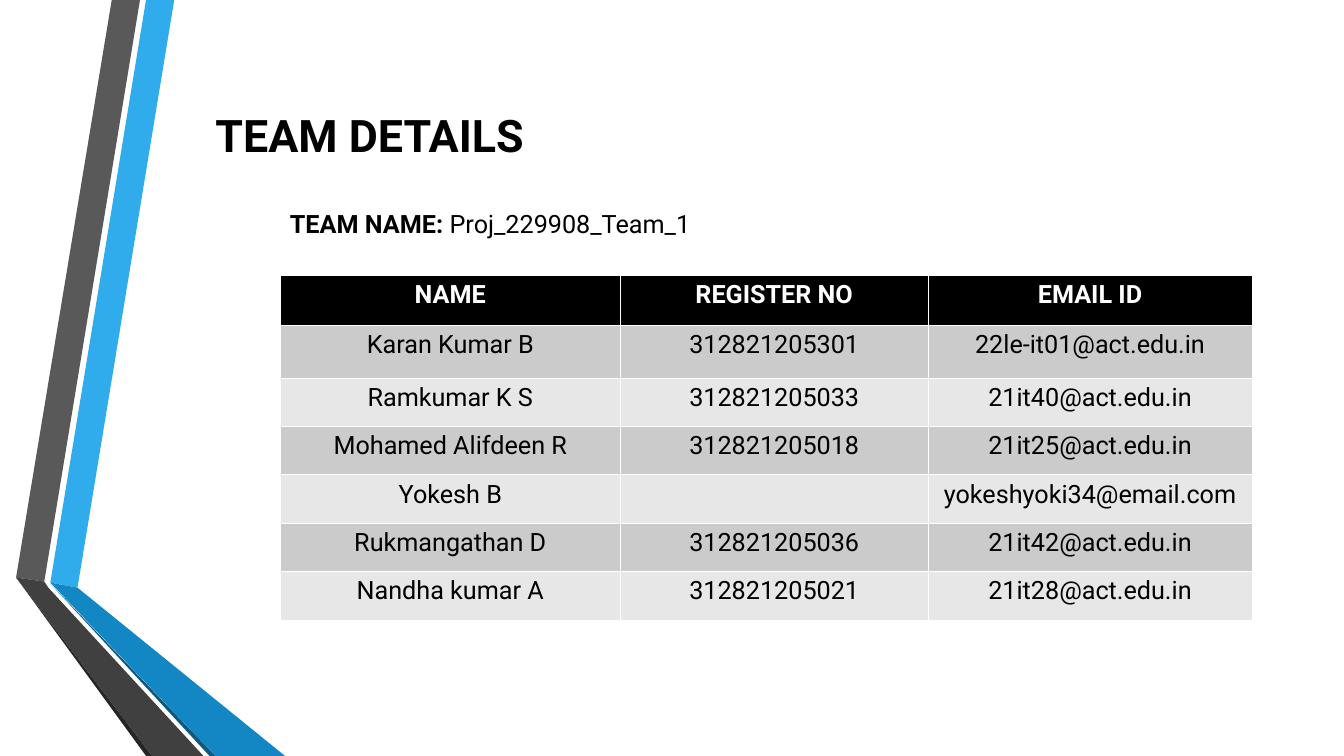
"""Build the team details slide with its ribbon and member table."""
import dataclasses

import lxml.etree
import pptx
import pptx.dml.color
import pptx.enum.text
import pptx.oxml.ns
import pptx.util

Inches = pptx.util.Inches
Pt = pptx.util.Pt
RGB = pptx.dml.color.RGBColor.from_string
CENTER = pptx.enum.text.PP_ALIGN.CENTER
MIDDLE = pptx.enum.text.MSO_ANCHOR.MIDDLE


@dataclasses.dataclass(frozen=True)
class Theme:
    font: str = "Roboto"
    title_size: int = 32
    body_size: int = 18
    ink: str = "000000"
    paper: str = "FFFFFF"
    bands: tuple = ("CBCBCB", "E7E7E7")
    sky: str = "30ACEC"
    blue: str = "1287C3"
    navy: str = "0C5A82"
    grey: str = "595959"
    charcoal: str = "404040"
    soot: str = "262626"
    thin_rule: float = 0.45
    header_rule: float = 1.47


THEME = Theme()

RIBBON = [
    (THEME.sky, [(0.5, 5.78), (0.77, 5.83), (1.73, 0), (1.45, 0)]),
    (THEME.grey, [(1.39, 0), (1.11, 0), (0.16, 5.73), (0.44, 5.77)]),
    (THEME.soot, [(0.16, 5.73), (1.45, 7.5), (1.51, 7.5)]),
    (THEME.navy, [(0.5, 5.79), (2.08, 7.5), (2.14, 7.5)]),
    (THEME.blue, [(0.5, 5.78), (2.14, 7.5), (2.83, 7.5), (0.77, 5.83)]),
    (THEME.charcoal, [(0.16, 5.73), (1.51, 7.5), (2.02, 7.5), (0.48, 5.83), (0.44, 5.77)]),
]

MEMBERS = [
    ("NAME", "REGISTER NO", "EMAIL ID"),
    ("Karan Kumar B", "312821205301", "22le-it01@act.edu.in"),
    ("Ramkumar K S", "312821205033", "21it40@act.edu.in"),
    ("Mohamed Alifdeen R", "312821205018", "21it25@act.edu.in"),
    ("Yokesh B", "", "yokeshyoki34@email.com"),
    ("Rukmangathan D", "312821205036", "21it42@act.edu.in"),
    ("Nandha kumar A", "312821205021", "21it28@act.edu.in"),
]
COLUMN_WIDTHS = (3.38, 3.05, 3.22)
ROW_HEIGHTS = (0.5, 0.52) + (0.48,) * 5


def style_font(font, size, color=THEME.ink, bold=False):
    for name, value in {"name": THEME.font, "size": Pt(size), "bold": bold}.items():
        setattr(font, name, value)
    font.color.rgb = RGB(color)


def add_ribbon_piece(slide, color, points):
    corners = [(Inches(x), Inches(y)) for x, y in points]
    builder = slide.shapes.build_freeform(*corners[0])
    builder.add_line_segments(corners[1:], close=True)
    piece = builder.convert_to_shape()
    piece.shadow.inherit = False
    piece.fill.solid()
    piece.fill.fore_color.rgb = RGB(color)
    piece.line.fill.background()


def add_text(slide, box, runs, size, **layout):
    frame = slide.shapes.add_textbox(*map(Inches, box)).text_frame
    frame.word_wrap = True
    frame.vertical_anchor = layout.get("anchor")
    paragraph = frame.paragraphs[0]
    paragraph.alignment = layout.get("align")
    for text, bold in runs:
        run = paragraph.add_run()
        run.text = text
        style_font(run.font, size, bold=bold)


def set_borders(cell, widths):
    properties = cell._tc.get_or_add_tcPr()
    qn = pptx.oxml.ns.qn
    for side, width in widths.items():
        rule = lxml.etree.SubElement(properties, qn(f"a:ln{side}"), w=str(Pt(width)))
        fill = lxml.etree.SubElement(rule, qn("a:solidFill"))
        lxml.etree.SubElement(fill, qn("a:srgbClr"), val=THEME.paper)


def fill_cell(cell, text, row):
    header = row == 0
    thin, thick = THEME.thin_rule, THEME.header_rule
    set_borders(cell, {"L": thin, "R": thin,
                       "T": thick if row == 1 else thin,
                       "B": thick if header else thin})
    cell.fill.solid()
    cell.fill.fore_color.rgb = RGB(THEME.ink if header else THEME.bands[(row - 1) % 2])
    paragraph = cell.text_frame.paragraphs[0]
    paragraph.alignment = CENTER
    style_font(paragraph.font, THEME.body_size, THEME.paper if header else THEME.ink, header)
    if text:
        run = paragraph.add_run()
        run.text = text
        style_font(run.font, THEME.body_size, THEME.paper if header else THEME.ink, header)


def add_member_table(slide, left, top):
    table = slide.shapes.add_table(
        len(MEMBERS), len(COLUMN_WIDTHS), Inches(left), Inches(top),
        Inches(sum(COLUMN_WIDTHS)), Inches(sum(ROW_HEIGHTS))).table
    for column, width in zip(table.columns, COLUMN_WIDTHS):
        column.width = Inches(width)
    for row, (member, height) in enumerate(zip(MEMBERS, ROW_HEIGHTS)):
        table.rows[row].height = Inches(height)
        for column, text in enumerate(member):
            fill_cell(table.cell(row, column), text, row)


def main():
    deck = pptx.Presentation()
    deck.slide_width, deck.slide_height = Inches(13.34), Inches(7.5)
    slide = deck.slides.add_slide(deck.slide_layouts[6])
    for color, points in RIBBON:
        add_ribbon_piece(slide, color, points)
    add_text(slide, (0.48, 0.96, 6.38, 0.75), [("TEAM DETAILS", True)],
             THEME.title_size, align=CENTER, anchor=MIDDLE)
    add_member_table(slide, 2.78, 2.73)
    add_text(slide, (2.78, 2.02, 4.74, 0.4),
             [("TEAM NAME: ", True), ("Proj_229908_Team_1", False)], THEME.body_size)
    deck.save("out.pptx")


if __name__ == "__main__":
    main()
